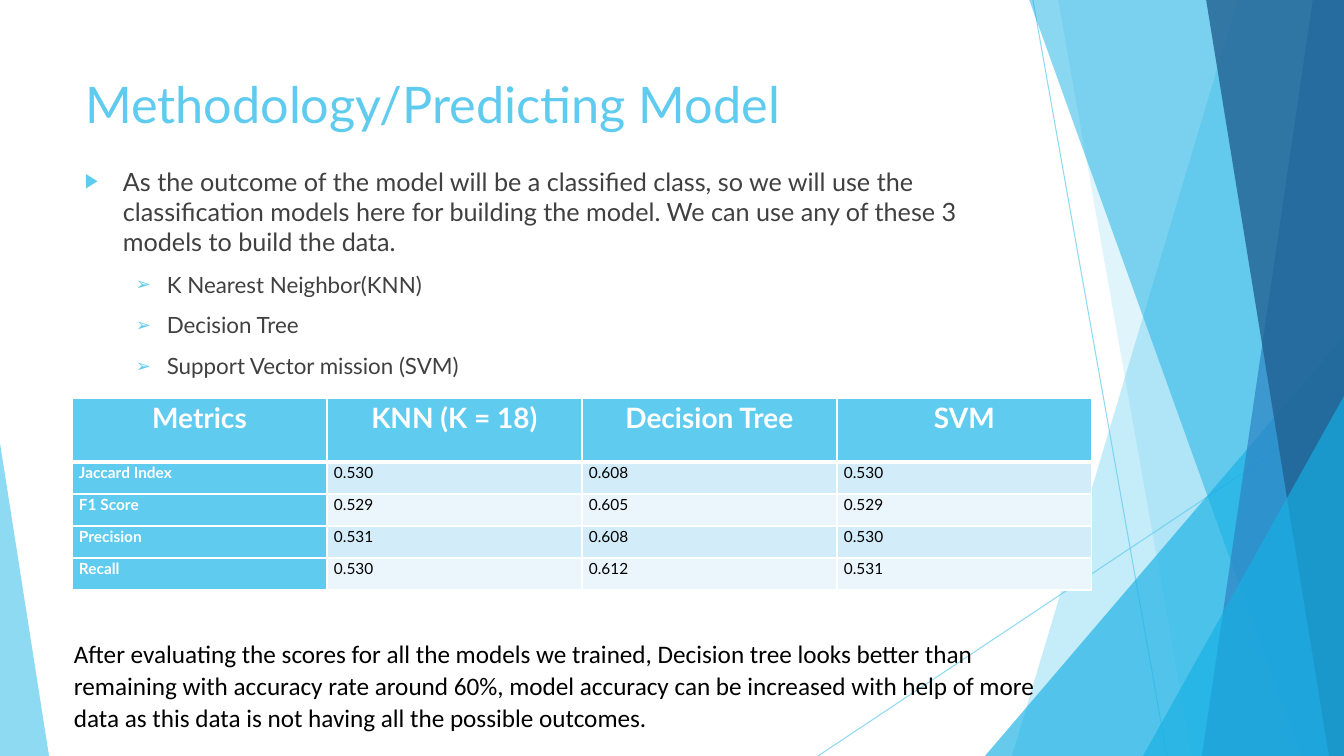
from dataclasses import dataclass

from lxml.etree import SubElement
from pptx import Presentation
from pptx.dml.color import RGBColor
from pptx.enum.shapes import MSO_CONNECTOR, MSO_SHAPE
from pptx.enum.text import MSO_ANCHOR, MSO_AUTO_SIZE, PP_ALIGN
from pptx.oxml import parse_xml
from pptx.oxml.ns import nsdecls, qn
from pptx.util import Emu, Pt

PX = 12192000 / 1344
W, H = 1344, 756


@dataclass(frozen=True)
class Theme:
    """Colours, fonts and type sizes of the slide."""
    sky: str = "5FCBEF"
    cyan: str = "17B0E4"
    blue: str = "2E83C3"
    navy: str = "226292"
    grey: str = "404040"
    black: str = "000000"
    white: str = "FFFFFF"
    bands: tuple = ("D2ECF9", "EAF6FC")
    font: str = "Lato"
    note_font: str = "Calibri"
    title: int = 36
    body: int = 18
    item: int = 16
    head: int = 20
    cell: int = 11


T = Theme()

LINES = [(1033, 0, 1167, H), (W, 406, 818, H)]
FACETS_BACK = [(1238, 1012, T.sky, 36), (1058, 1192, T.sky, 20)]
FACETS_FRONT = [(1029, 1301, T.cyan, 50), (1313, 1202, T.blue, 70), (1206, 1329, T.navy, 80)]

MODELS = ["K Nearest Neighbor(KNN)", "Decision Tree", "Support Vector mission (SVM)"]
INTRO = ("As the outcome of the model will be a classified class, so we will use the "
         "classification models here for building the model. We can use any of these 3 "
         "models to build the data.")
NOTE = ("After evaluating the scores for all the models we trained, Decision tree looks better "
        "than remaining with accuracy rate around 60%, model accuracy can be increased with help "
        "of more data as this data is not having all the possible outcomes.")
SCORES = [
    ["Metrics", "KNN (K = 18)", "Decision Tree", "SVM"],
    ["Jaccard Index", "0.530", "0.608", "0.530"],
    ["F1 Score", "0.529", "0.605", "0.529"],
    ["Precision", "0.531", "0.608", "0.530"],
    ["Recall", "0.530", "0.612", "0.531"],
]


def px(n):
    """Turn pixels into EMU."""
    return Emu(round(n * PX))


def box(*lengths):
    """Turn several pixel lengths into EMU."""
    return [px(n) for n in lengths]


def add_run(p, text, size, color, font=T.font, bold=False):
    """Add one formatted run to a paragraph."""
    r = p.add_run()
    r.text = text
    r.font.size, r.font.name, r.font.bold = Pt(size), font, bold
    r.font.color.rgb = RGBColor.from_string(color)


def set_alpha(fill_parent, percent):
    """Make the solid colour under an element partly transparent."""
    color = next(fill_parent.iter(qn("a:srgbClr")))
    SubElement(color, qn("a:alpha"), val=str(percent * 1000))


def paint(sp, color, alpha):
    """Give a decorative shape a transparent fill and no outline."""
    sp.shadow.inherit = False
    sp.fill.solid()
    sp.fill.fore_color.rgb = RGBColor.from_string(color)
    set_alpha(sp.element.spPr, alpha)
    sp.line.fill.background()


def add_thin_line(s, x1, y1, x2, y2):
    """Draw one fine decorative line."""
    ln = s.shapes.add_connector(MSO_CONNECTOR.STRAIGHT, *box(x1, y1, x2, y2))
    ln.line.width = Pt(0.75)
    ln.line.color.rgb = RGBColor.from_string(T.sky)
    spPr = ln.element.spPr
    set_alpha(spPr, 70)
    SubElement(spPr, qn("a:effectLst"))


def add_facet(s, top_x, bottom_x, color, alpha):
    """Draw a full-height panel with a slanted left edge."""
    fb = s.shapes.build_freeform(top_x, -1, scale=PX)
    fb.add_line_segments([(W, -1), (W, H), (bottom_x, H)], close=True)
    paint(fb.convert_to_shape(), color, alpha)


def add_triangle(s, x, y, w, h, apex, color, alpha):
    """Draw a triangle with its apex at a share of the width."""
    sp = s.shapes.add_shape(MSO_SHAPE.ISOSCELES_TRIANGLE, *box(x, y, w, h))
    sp.adjustments[0] = apex
    paint(sp, color, alpha)


def add_backdrop(s):
    """Draw the faceted decoration from back to front."""
    for line in LINES:
        add_thin_line(s, *line)
    for facet in FACETS_BACK:
        add_facet(s, *facet)
    add_triangle(s, 985, 336, 359, 420, 1, T.cyan, 66)
    for facet in FACETS_FRONT:
        add_facet(s, *facet)
    add_triangle(s, 1143, 396, 201, 360, 1, T.cyan, 66)
    add_triangle(s, 0, 443, 49, 313, 0, T.sky, 70)


def set_title(s, text):
    """Place and fill the title in front of the backdrop."""
    sp = s.shapes.title
    sp.element.getparent().append(sp.element)
    sp.left, sp.top, sp.width, sp.height = box(75, 68, 948, 145)
    tf = sp.text_frame
    tf.word_wrap, tf.auto_size = True, MSO_AUTO_SIZE.NONE
    tf.vertical_anchor = MSO_ANCHOR.TOP
    p = tf.paragraphs[0]
    p.alignment = PP_ALIGN.LEFT
    add_run(p, text, T.title, T.sky)


def add_text_box(s, x, y, w, h):
    """Add a wrapping text box and return its text frame."""
    tf = s.shapes.add_textbox(*box(x, y, w, h)).text_frame
    tf.word_wrap = True
    return tf


def add_bullet(p, char, indent, hang, level):
    """Give a paragraph a hanging coloured bullet."""
    p.level, p.space_before = level, Pt(10)
    pPr = p._p.get_or_add_pPr()
    pPr.set("marL", str(px(indent)))
    pPr.set("indent", str(-px(hang)))
    SubElement(SubElement(pPr, qn("a:buClr")), qn("a:srgbClr"), val=T.sky)
    SubElement(pPr, qn("a:buSzPct"), val="80000")
    SubElement(pPr, qn("a:buFont"), typeface="Arial")
    SubElement(pPr, qn("a:buChar"), char=char)


def add_body(s):
    """Write the introduction and the list of models."""
    tf = add_text_box(s, 75, 161, 948, 504)
    p = tf.paragraphs[0]
    add_bullet(p, "▶", 38, 38, 0)
    add_run(p, INTRO, T.body, T.grey)
    for model in MODELS:
        p = tf.add_paragraph()
        add_bullet(p, "➢", 82, 31, 1)
        add_run(p, model, T.item, T.grey)


def set_borders(cell, **widths):
    """Draw white borders of the given point widths."""
    tcPr = cell._tc.get_or_add_tcPr()
    for i, side in enumerate("LRTB"):
        tcPr.insert(i, parse_xml(
            f'<a:ln{side} {nsdecls("a")} w="{Pt(widths.get(side, 1))}"><a:solidFill>'
            f'<a:srgbClr val="{T.white}"/></a:solidFill></a:ln{side}>'))


def fill_cell(cell, text, row, col):
    """Format one table cell by its place in the grid."""
    head, label = row == 0, row == 0 or col == 0
    cell.margin_left = cell.margin_right = px(7)
    cell.margin_top = cell.margin_bottom = 0
    cell.fill.solid()
    cell.fill.fore_color.rgb = RGBColor.from_string(T.sky if label else T.bands[(row - 1) % 2])
    set_borders(cell, T=3 if row == 1 else 1, B=3 if head else 1)
    p = cell.text_frame.paragraphs[0]
    p.line_spacing = 1.07
    p.alignment = PP_ALIGN.CENTER if head else PP_ALIGN.LEFT
    add_run(p, text, T.head if head else T.cell, T.white if label else T.black, bold=label)


def add_scores(s):
    """Build the table of scores for each model."""
    rows, cols = len(SCORES), len(SCORES[0])
    table = s.shapes.add_table(rows, cols, *box(72, 398, 255 * cols, 32 * (rows + 1))).table
    for col in table.columns:
        col.width = px(255)
    for i, values in enumerate(SCORES):
        table.rows[i].height = px(32 if i else 64)
        for j, text in enumerate(values):
            fill_cell(table.cell(i, j), text, i, j)


def add_note(s):
    """Write the conclusion under the table."""
    tf = add_text_box(s, 64, 631, 994, 108)
    tf.auto_size = MSO_AUTO_SIZE.SHAPE_TO_FIT_TEXT
    p = tf.paragraphs[0]
    p.line_spacing, p.space_after = 1.07, Pt(8)
    add_run(p, NOTE, T.body, T.black, T.note_font)


def main():
    """Build the slide and save it."""
    prs = Presentation()
    prs.slide_width, prs.slide_height = box(W, H)
    s = prs.slides.add_slide(prs.slide_layouts[5])
    add_backdrop(s)
    set_title(s, "Methodology/Predicting Model")
    add_body(s)
    add_scores(s)
    add_note(s)
    prs.save("out.pptx")


if __name__ == "__main__":
    main()
